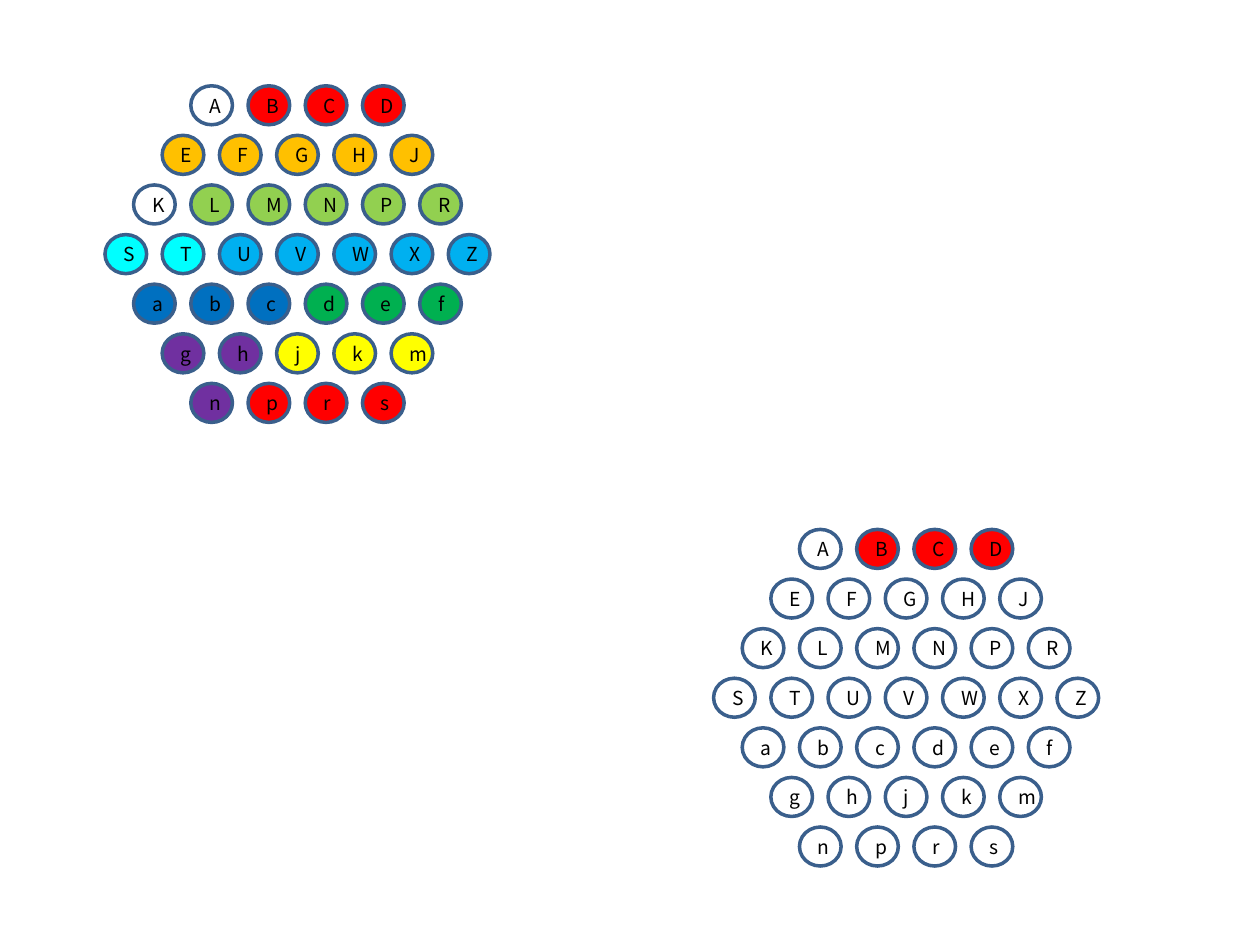
from dataclasses import dataclass

from pptx import Presentation
from pptx.dml.color import RGBColor
from pptx.enum import shapes, text
from pptx.util import Pt


@dataclass(frozen=True)
class Theme:
    """Colours and type of the connector pins."""
    font: str = "Noto Sans CJK KR"
    size: float = 11
    ink: str = "000000"
    outline: str = "3A5F8C"
    stroke: float = 2
    red: str = "FF0000"
    orange: str = "FFC000"
    lime: str = "92D050"
    cyan: str = "00FFFF"
    sky: str = "00B0F0"
    blue: str = "0070C0"
    green: str = "00B050"
    purple: str = "7030A0"
    yellow: str = "FFFF00"


THEME = Theme()
PIN_ROWS = ["ABCD", "EFGHJ", "KLMNPR", "STUVWXZ", "abcdef", "ghjkm", "nprs"]
ALL_BUNDLES = {
    "BCDprs": THEME.red,
    "EFGHJ": THEME.orange,
    "LMNPR": THEME.lime,
    "ST": THEME.cyan,
    "UVWXZ": THEME.sky,
    "abc": THEME.blue,
    "def": THEME.green,
    "ghn": THEME.purple,
    "jkm": THEME.yellow,
}
FIRST_BUNDLE = {"BCD": THEME.red}
CONNECTORS = [(170, 49, ALL_BUNDLES), (517.8, 302.5, FIRST_BUNDLE)]
PIN_WIDTH, PIN_HEIGHT = 23.8, 22.3
PIN_PITCH, ROW_PITCH = 32.7, 28.35
TEXT_TOP = 1.3


def add_pin(parent, label, left, top, colour):
    pin = parent.add_shape(shapes.MSO_SHAPE.OVAL, Pt(left), Pt(top),
                           Pt(PIN_WIDTH), Pt(PIN_HEIGHT))
    pin.shadow.inherit = False
    if colour:
        pin.fill.solid()
        pin.fill.fore_color.rgb = RGBColor.from_string(colour)
    else:
        pin.fill.background()
    pin.line.color.rgb = RGBColor.from_string(THEME.outline)
    pin.line.width = Pt(THEME.stroke)
    frame = pin.text_frame
    frame.vertical_anchor = text.MSO_ANCHOR.TOP
    frame.margin_top = Pt(TEXT_TOP)
    para = frame.paragraphs[0]
    para.text = label
    para.alignment = text.PP_ALIGN.LEFT
    para.font.name = THEME.font
    para.font.size = Pt(THEME.size)
    para.font.color.rgb = RGBColor.from_string(THEME.ink)


def add_connector_face(page, centre, top, bundles):
    face = page.shapes.add_group_shape().shapes
    colours = {pin: colour for pins, colour in bundles.items() for pin in pins}
    for row, labels in enumerate(PIN_ROWS):
        first = centre - (PIN_WIDTH + (len(labels) - 1) * PIN_PITCH) / 2
        for column, label in enumerate(labels):
            add_pin(face, label, first + column * PIN_PITCH,
                    top + row * ROW_PITCH, colours.get(label))


def main():
    """Draw two connector faces with their pins coloured by bundle."""
    deck = Presentation()
    deck.slide_width, deck.slide_height = Pt(720), Pt(540)
    page = deck.slides.add_slide(deck.slide_layouts[6])
    for centre, top, bundles in CONNECTORS:
        add_connector_face(page, centre, top, bundles)
    deck.save("out.pptx")


if __name__ == "__main__":
    main()
